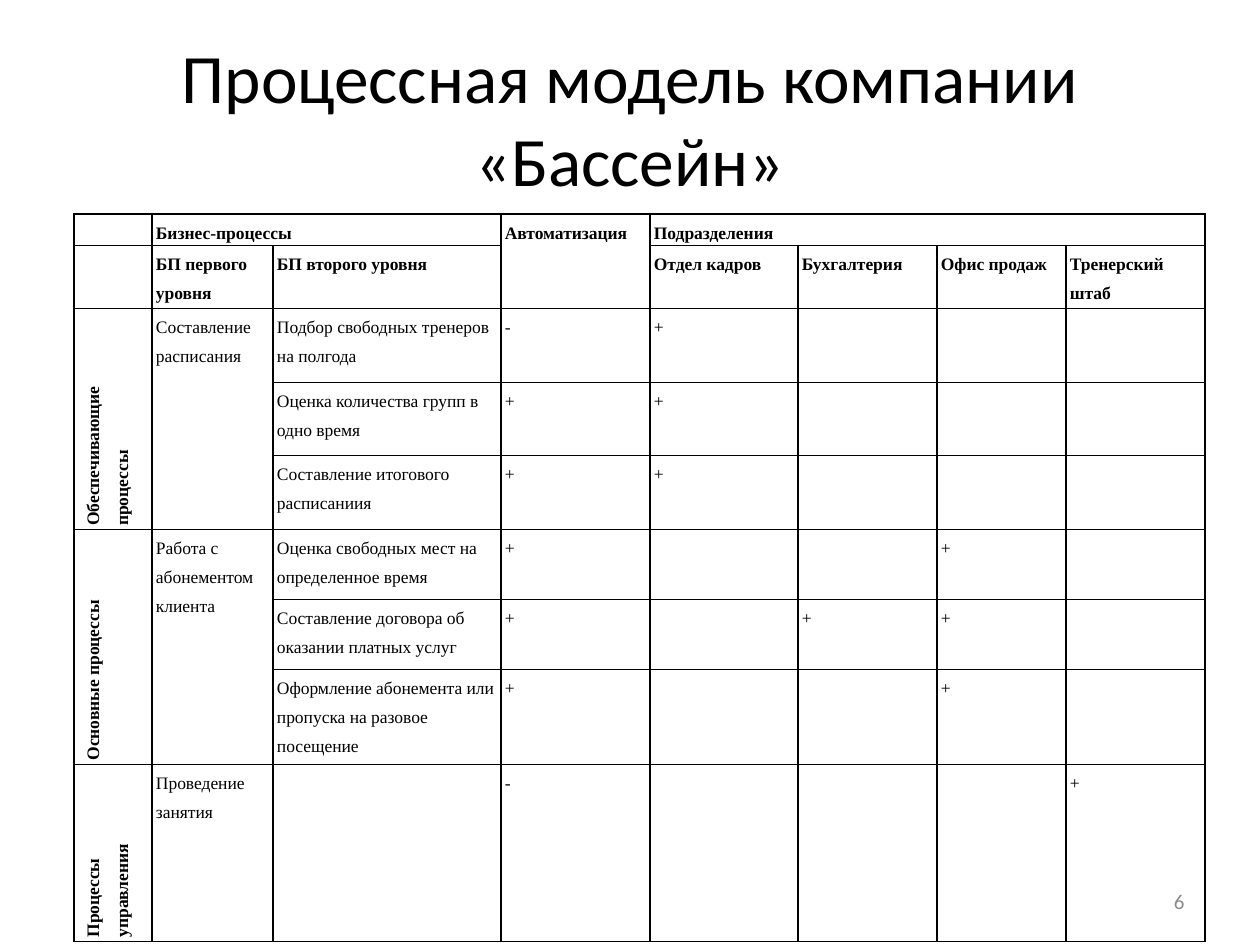
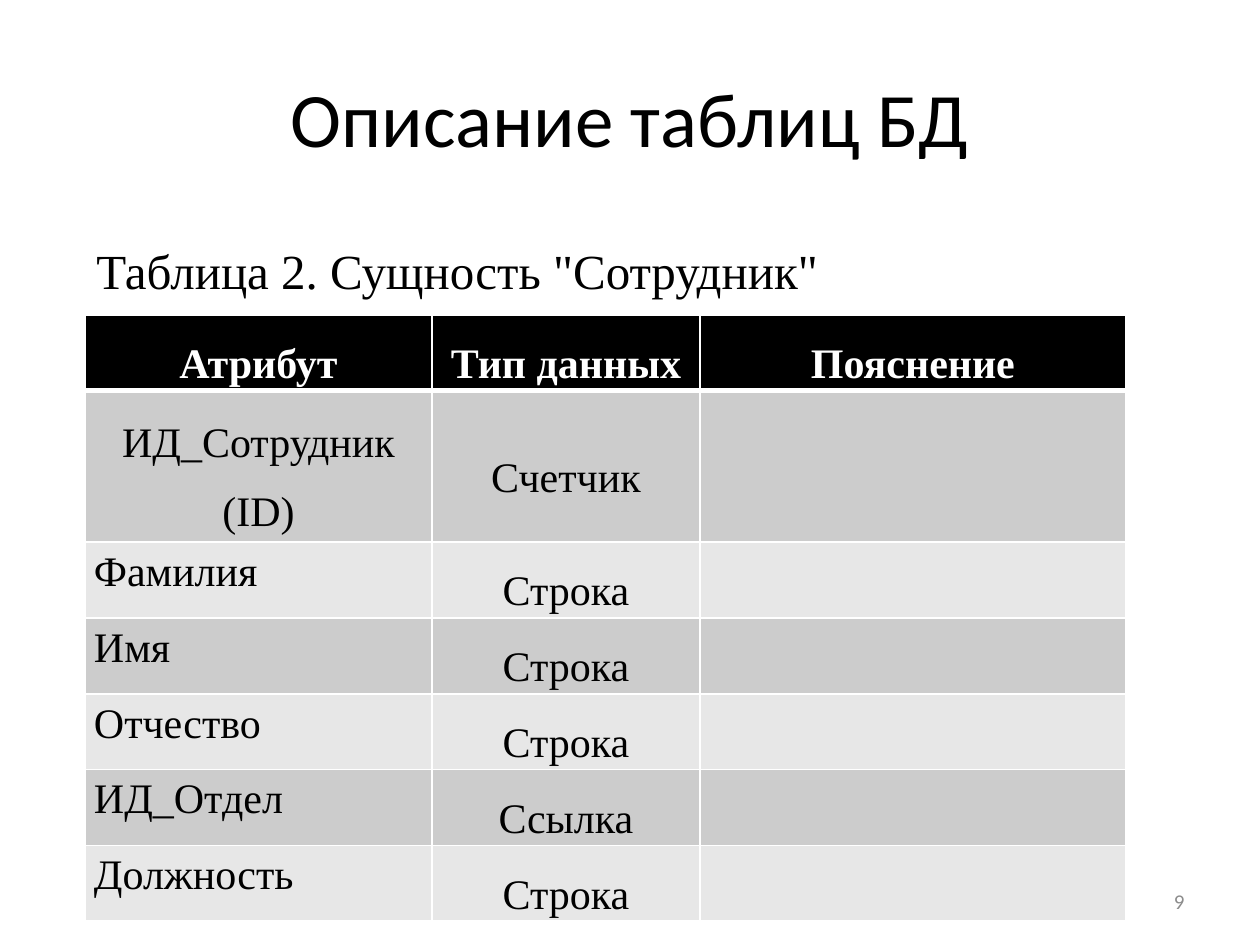
from dataclasses import dataclass, replace
from typing import Callable, NamedTuple, Optional

from lxml import etree
from pptx import Presentation
from pptx.dml.color import RGBColor
from pptx.enum.text import MSO_ANCHOR, PP_ALIGN
from pptx.oxml.ns import qn
from pptx.util import Pt

LEFT, CENTER, RIGHT = PP_ALIGN.LEFT, PP_ALIGN.CENTER, PP_ALIGN.RIGHT
TOP, MIDDLE = MSO_ANCHOR.TOP, MSO_ANCHOR.MIDDLE

EMU_PER_PX = 914400 / 126
SLIDE_WIDTH, SLIDE_HEIGHT = 1260, 945
BLANK_LAYOUT = 6

BLACK = RGBColor(0x00, 0x00, 0x00)
WHITE = RGBColor(0xFF, 0xFF, 0xFF)
NUMBER_GRAY = RGBColor(0x8C, 0x8C, 0x8C)
DARK_BAND = RGBColor(0xCC, 0xCC, 0xCC)
LIGHT_BAND = RGBColor(0xE7, 0xE7, 0xE7)

HEADING_FONT = "Calibri"
BODY_FONT = "Times New Roman"


class Box(NamedTuple):
    left: int
    top: int
    width: int
    height: int


class Span(NamedTuple):
    row: int
    column: int
    last_row: int
    last_column: int


@dataclass(frozen=True)
class TextStyle:
    size: float
    font: str = BODY_FONT
    color: RGBColor = BLACK
    bold: bool = False
    align: PP_ALIGN = LEFT
    anchor: MSO_ANCHOR = TOP
    wrap: bool = True


@dataclass(frozen=True)
class CellStyle:
    text: TextStyle
    margin: int
    border: RGBColor
    fill: Optional[RGBColor] = None
    line_spacing: float = 1.5
    space_after: int = 0
    vertical: bool = False
    top_border: int = 1
    bottom_border: int = 1


@dataclass(frozen=True)
class Grid:
    left: int
    top: int
    columns: tuple[int, ...]
    rows: tuple[int, ...]
    texts: tuple[tuple[str, ...], ...]
    style_of: Callable[[int, int], CellStyle]
    spans: tuple[Span, ...] = ()


TITLE_BOX = Box(63, 38, 1134, 158)
NUMBER_BOX = Box(903, 876, 294, 50)
CAPTION_BOX = Box(84, 234, 755, 72)

TITLE_STYLE = TextStyle(44, HEADING_FONT, align=CENTER, anchor=MIDDLE)
NUMBER_STYLE = TextStyle(12, HEADING_FONT, NUMBER_GRAY, align=RIGHT, anchor=MIDDLE)
CAPTION_STYLE = TextStyle(28, wrap=False)

PROCESS_CELL = CellStyle(TextStyle(10), margin=4, border=BLACK)
ATTRIBUTE_CELL = CellStyle(
    TextStyle(24, align=CENTER, anchor=MIDDLE), margin=9, border=WHITE
)


def process_style(row: int, column: int) -> CellStyle:
    bold = row < 2 or column == 0
    return replace(
        PROCESS_CELL,
        text=replace(PROCESS_CELL.text, bold=bold),
        vertical=row >= 2 and column == 0,
    )


def attribute_style(row: int, column: int) -> CellStyle:
    if row == 0:
        header_text = replace(ATTRIBUTE_CELL.text, color=WHITE, bold=True)
        return replace(ATTRIBUTE_CELL, text=header_text, fill=BLACK, bottom_border=3)
    style = replace(
        ATTRIBUTE_CELL,
        fill=DARK_BAND if row % 2 else LIGHT_BAND,
        top_border=3 if row == 1 else 1,
    )
    if row > 1 and column == 0:
        name_text = replace(style.text, align=LEFT, anchor=TOP)
        return replace(style, text=name_text, line_spacing=1.15, space_after=10)
    return style


PROCESS_GRID = Grid(
    left=74,
    top=214,
    columns=(78, 121, 228, 149, 148, 139, 129, 139),
    rows=(29, 58, 74, 73, 74, 70, 70, 88, 177),
    texts=(
        ("", "Бизнес-процессы", "", "Автоматизация", "Подразделения", "", "", ""),
        ("", "БП первого уровня", "БП второго уровня", "", "Отдел кадров",
         "Бухгалтерия", "Офис продаж", "Тренерский штаб"),
        ("Обеспечивающие процессы", "Составление расписания",
         "Подбор свободных тренеров на полгода", "-", "+", "", "", ""),
        ("", "", "Оценка количества групп в одно время", "+", "+", "", "", ""),
        ("", "", "Составление итогового расписаниия", "+", "+", "", "", ""),
        ("Основные процессы", "Работа с абонементом клиента",
         "Оценка свободных мест на определенное время", "+", "", "", "+", ""),
        ("", "", "Составление договора об оказании платных услуг",
         "+", "", "+", "+", ""),
        ("", "", "Оформление абонемента или пропуска на разовое посещение",
         "+", "", "", "+", ""),
        ("Процессы управления", "Проведение занятия", "", "-", "", "", "", "+"),
    ),
    style_of=process_style,
    spans=(
        Span(0, 1, 0, 2),
        Span(0, 3, 1, 3),
        Span(0, 4, 0, 7),
        Span(2, 0, 4, 0),
        Span(2, 1, 4, 1),
        Span(5, 0, 7, 0),
        Span(5, 1, 7, 1),
    ),
)

ATTRIBUTE_GRID = Grid(
    left=85,
    top=315,
    columns=(347, 268, 426),
    rows=(74, 151, 76, 76, 75, 76, 75),
    texts=(
        ("Атрибут", "Тип данных", "Пояснение"),
        ("ИД_Сотрудник (ID)", "Счетчик", ""),
        ("Фамилия", "Строка", ""),
        ("Имя", "Строка", ""),
        ("Отчество", "Строка", ""),
        ("ИД_Отдел", "Ссылка", ""),
        ("Должность", "Строка", ""),
    ),
    style_of=attribute_style,
)


def px(length: int) -> int:
    return round(length * EMU_PER_PX)


def format_paragraph(paragraph, style: TextStyle) -> None:
    paragraph.alignment = style.align
    for run in paragraph.runs:
        run.font.name = style.font
        run.font.size = Pt(style.size)
        run.font.bold = style.bold
        run.font.color.rgb = style.color


def add_text(slide, box: Box, text: str, style: TextStyle) -> None:
    shape = slide.shapes.add_textbox(*map(px, box))
    text_frame = shape.text_frame
    text_frame.word_wrap = style.wrap
    text_frame.vertical_anchor = style.anchor
    text_frame.text = text
    format_paragraph(text_frame.paragraphs[0], style)


def add_border(properties, side: str, color: RGBColor, width: int) -> None:
    line = etree.SubElement(properties, qn(f"a:ln{side}"), w=str(Pt(width)))
    fill = etree.SubElement(line, qn("a:solidFill"))
    etree.SubElement(fill, qn("a:srgbClr"), val=str(color))


def format_cell(cell, text: str, style: CellStyle) -> None:
    cell.text_frame.text = text
    paragraph = cell.text_frame.paragraphs[0]
    paragraph.line_spacing = style.line_spacing
    paragraph.space_after = Pt(style.space_after)
    format_paragraph(paragraph, style.text)
    if not text:
        size = str(round(style.text.size * 100))
        mark = etree.SubElement(paragraph._p, qn("a:endParaRPr"), sz=size)
        etree.SubElement(mark, qn("a:latin"), typeface=style.text.font)

    cell.vertical_anchor = style.text.anchor
    cell.margin_left = cell.margin_right = px(style.margin)
    cell.margin_top = cell.margin_bottom = 0
    properties = cell._tc.get_or_add_tcPr()
    if style.vertical:
        properties.set("vert", "vert270")
    widths = {"L": 1, "R": 1, "T": style.top_border, "B": style.bottom_border}
    for side, width in widths.items():
        add_border(properties, side, style.border, width)
    if style.fill is None:
        cell.fill.background()
    else:
        cell.fill.solid()
        cell.fill.fore_color.rgb = style.fill


def add_grid(slide, grid: Grid) -> None:
    box = Box(grid.left, grid.top, sum(grid.columns), sum(grid.rows))
    frame = slide.shapes.add_table(
        len(grid.rows), len(grid.columns), *map(px, box)
    )
    table = frame.table
    table.first_row = False
    table.horz_banding = False
    for column, width in zip(table.columns, grid.columns):
        column.width = px(width)
    for row, height in zip(table.rows, grid.rows):
        row.height = px(height)
    for row_index, texts in enumerate(grid.texts):
        for column_index, text in enumerate(texts):
            style = grid.style_of(row_index, column_index)
            format_cell(table.cell(row_index, column_index), text, style)
    for span in grid.spans:
        last_cell = table.cell(span.last_row, span.last_column)
        table.cell(span.row, span.column).merge(last_cell)


def add_base_slide(presentation, title: str, number: str, title_size: float = 44):
    slide = presentation.slides.add_slide(presentation.slide_layouts[BLANK_LAYOUT])
    add_text(slide, TITLE_BOX, title, replace(TITLE_STYLE, size=title_size))
    add_text(slide, NUMBER_BOX, number, NUMBER_STYLE)
    return slide


def main() -> None:
    presentation = Presentation()
    presentation.slide_width = px(SLIDE_WIDTH)
    presentation.slide_height = px(SLIDE_HEIGHT)

    process_slide = add_base_slide(
        presentation, "Процессная модель компании «Бассейн»", "6", 39.6
    )
    add_grid(process_slide, PROCESS_GRID)

    attribute_slide = add_base_slide(presentation, "Описание таблиц БД", "9")
    add_text(
        attribute_slide, CAPTION_BOX, 'Таблица 2. Сущность "Сотрудник"', CAPTION_STYLE
    )
    add_grid(attribute_slide, ATTRIBUTE_GRID)

    presentation.save("out.pptx")


if __name__ == "__main__":
    main()
